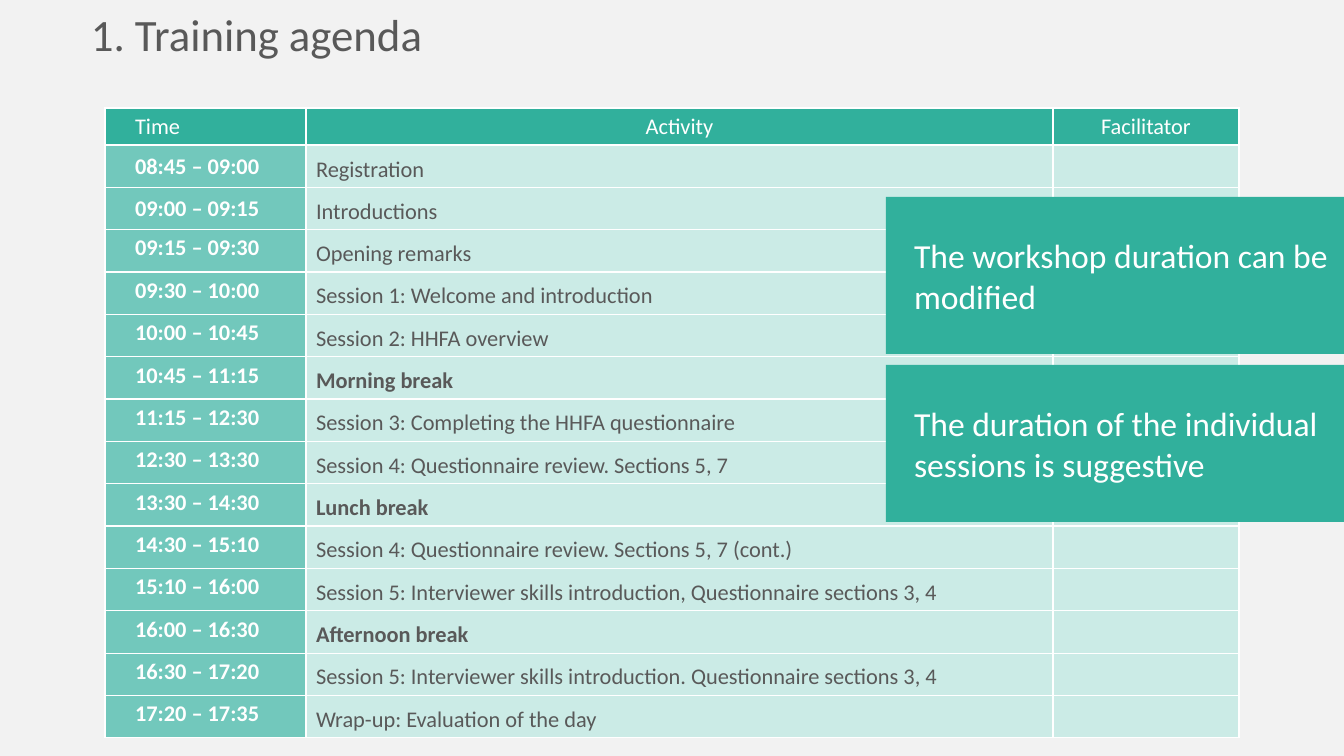
from pptx import Presentation
from pptx.dml.color import RGBColor
from pptx.enum.shapes import MSO_SHAPE
from pptx.enum.text import MSO_ANCHOR, PP_ALIGN
from pptx.oxml import parse_xml
from pptx.oxml.ns import nsdecls
from pptx.util import Emu, Pt

PX_PER_INCH = 100.8
FONT = "Calibri"
COLORS = {
    "background": "F2F2F2",
    "text": "595959",
    "white": "FFFFFF",
    "teal": "31B09C",
    "time": "72C8BC",
    "activity": "CBEBE6",
}
HEADINGS = ["Time", "Activity", "Facilitator"]
COLUMN_SHARES = [201, 747, 186]
HEADER_HEIGHT = 37
TIME_INDENT = 20
MIDDLE_ROWS = 3
AGENDA = [
    ("08:45 – 09:00", "Registration"),
    ("09:00 – 09:15", "Introductions"),
    ("09:15 – 09:30", "Opening remarks"),
    ("09:30 – 10:00", "Session 1: Welcome and introduction"),
    ("10:00 – 10:45", "Session 2: HHFA overview"),
    ("10:45 – 11:15", "Morning break"),
    ("11:15 – 12:30", "Session 3: Completing the HHFA questionnaire"),
    ("12:30 – 13:30", "Session 4: Questionnaire review. Sections 5, 7"),
    ("13:30 – 14:30", "Lunch break"),
    ("14:30 – 15:10", "Session 4: Questionnaire review. Sections 5, 7 (cont.)"),
    ("15:10 – 16:00", "Session 5: Interviewer skills introduction, Questionnaire sections 3, 4"),
    ("16:00 – 16:30", "Afternoon break"),
    ("16:30 – 17:20", "Session 5: Interviewer skills introduction. Questionnaire sections 3, 4"),
    ("17:20 – 17:35", "Wrap-up: Evaluation of the day"),
]
REMARKS = [
    "The workshop duration can be modified",
    "The duration of the individual sessions is suggestive",
]


def px(length):
    return Emu(round(length * 914400 / PX_PER_INCH))


def color(name):
    return RGBColor.from_string(COLORS[name])


def add_run(paragraph, text, size, color_name, bold=False):
    run = paragraph.add_run()
    run.text = text
    run.font.name = FONT
    run.font.size = Pt(size)
    run.font.bold = bold
    run.font.color.rgb = color(color_name)


def add_title(slide, text, left, top, width, height):
    frame = slide.shapes.add_textbox(*map(px, (left, top, width, height))).text_frame
    frame.word_wrap = True
    add_run(frame.paragraphs[0], text, 32, "text")


def style_cell(cell, fill_name, anchor):
    """Give the cell white borders, a fill, an anchor and its margins."""
    properties = cell._tc.get_or_add_tcPr()
    for side in "LRTB":
        properties.append(parse_xml(
            f'<a:ln{side} w="12700" {nsdecls("a")}><a:solidFill>'
            f'<a:srgbClr val="{COLORS["white"]}"/></a:solidFill></a:ln{side}>'))
    cell.fill.solid()
    cell.fill.fore_color.rgb = color(fill_name)
    cell.vertical_anchor = anchor
    cell.margin_top, cell.margin_bottom = px(5), px(4)


def indent(paragraph):
    paragraph._p.get_or_add_pPr().set("marL", str(px(TIME_INDENT)))


def add_agenda(slide, left, top, width, height):
    table = slide.shapes.add_table(
        len(AGENDA) + 1, len(HEADINGS), *map(px, (left, top, width, height))).table
    table.horz_banding = False
    for column, share in zip(table.columns, COLUMN_SHARES):
        column.width = px(width * share / sum(COLUMN_SHARES))
    row_height = (height - HEADER_HEIGHT) / len(AGENDA)
    for number, row in enumerate(table.rows):
        row.height = px(row_height if number else HEADER_HEIGHT)
        anchor = MSO_ANCHOR.MIDDLE if number < MIDDLE_ROWS else MSO_ANCHOR.TOP
        fills = ["time", "activity", "activity"] if number else ["teal"] * 3
        for cell, fill_name in zip(row.cells, fills):
            style_cell(cell, fill_name, anchor)
        indent(table.cell(number, 0).text_frame.paragraphs[0])

    for column, heading in enumerate(HEADINGS):
        paragraph = table.cell(0, column).text_frame.paragraphs[0]
        if column:
            paragraph.alignment = PP_ALIGN.CENTER
        add_run(paragraph, heading, 16, "white")
    for number, (time, activity) in enumerate(AGENDA, start=1):
        add_run(table.cell(number, 0).text_frame.paragraphs[0], time, 16, "white", True)
        paragraph = table.cell(number, 1).text_frame.paragraphs[0]
        paragraph.line_spacing = 1.2
        add_run(paragraph, activity, 16, "text", activity.endswith("break"))


def add_remark(slide, text, left, top, width, height):
    remark = slide.shapes.add_shape(
        MSO_SHAPE.PENTAGON, *map(px, (left, top, width, height)))
    remark.adjustments[0] = 0
    remark.shadow.inherit = False
    remark.fill.solid()
    remark.fill.fore_color.rgb = color("teal")
    remark.line.fill.background()
    frame = remark.text_frame
    frame.word_wrap = True
    frame.vertical_anchor = MSO_ANCHOR.MIDDLE
    frame.margin_left, frame.margin_right = px(28), px(16)
    frame.margin_top = frame.margin_bottom = px(5)
    paragraph = frame.paragraphs[0]
    paragraph.alignment = PP_ALIGN.LEFT
    paragraph.space_after = Pt(12)
    add_run(paragraph, text, 24, "white")


def add_remarks(slide, left, top, width, height, gap):
    remark_height = (height - gap * (len(REMARKS) - 1)) / len(REMARKS)
    for number, text in enumerate(REMARKS):
        add_remark(slide, text, left, top + number * (remark_height + gap),
                   width, remark_height)


def main():
    presentation = Presentation()
    presentation.slide_width, presentation.slide_height = px(1344), px(756)
    slide = presentation.slides.add_slide(presentation.slide_layouts[6])
    slide.background.fill.solid()
    slide.background.fill.fore_color.rgb = color("background")
    add_title(slide, "1. Training agenda", 81, 2, 1105, 65)
    add_agenda(slide, 105, 108, 1134, 630)
    add_remarks(slide, 886, 197, 458, 325, gap=11)
    presentation.save("out.pptx")


if __name__ == "__main__":
    main()
